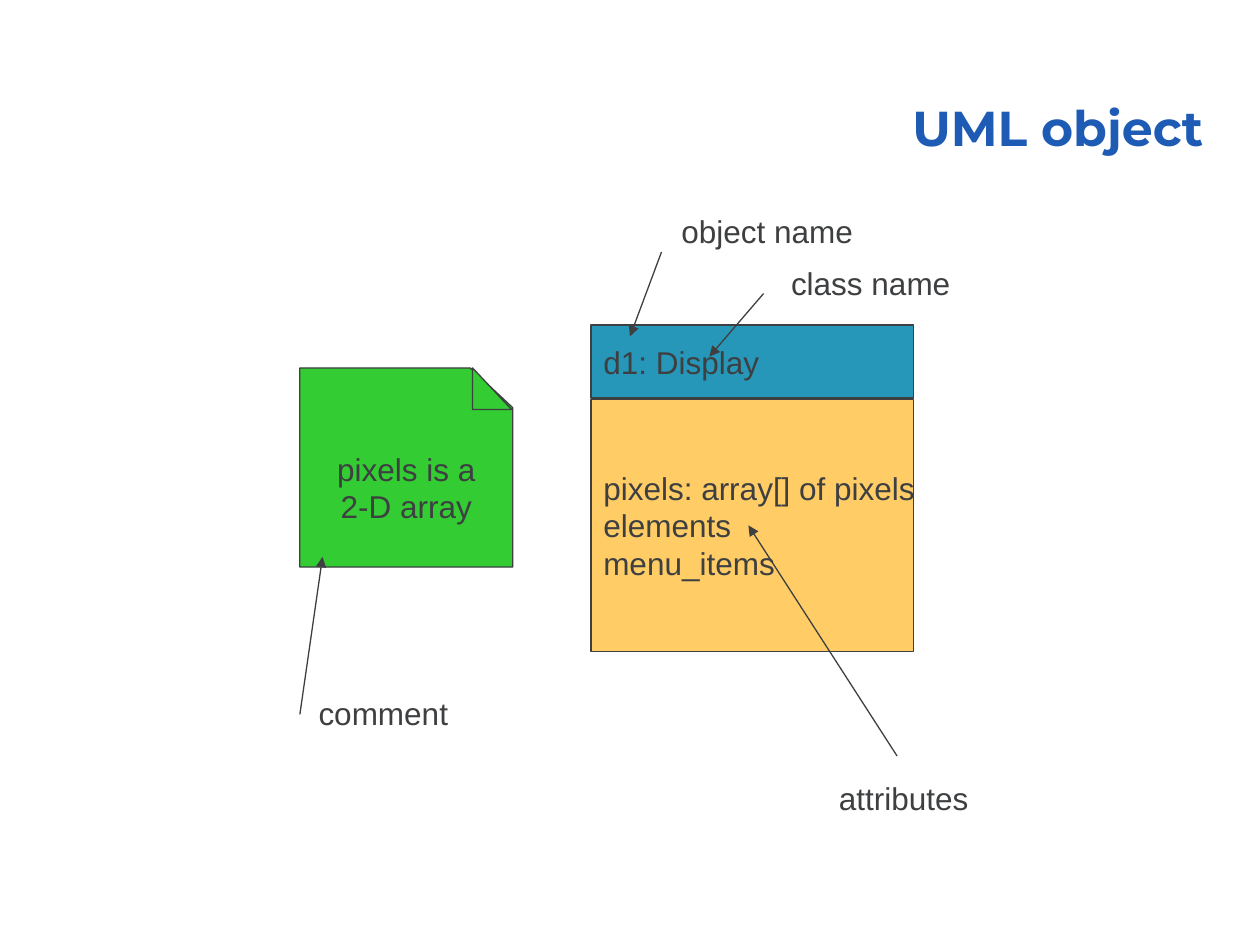
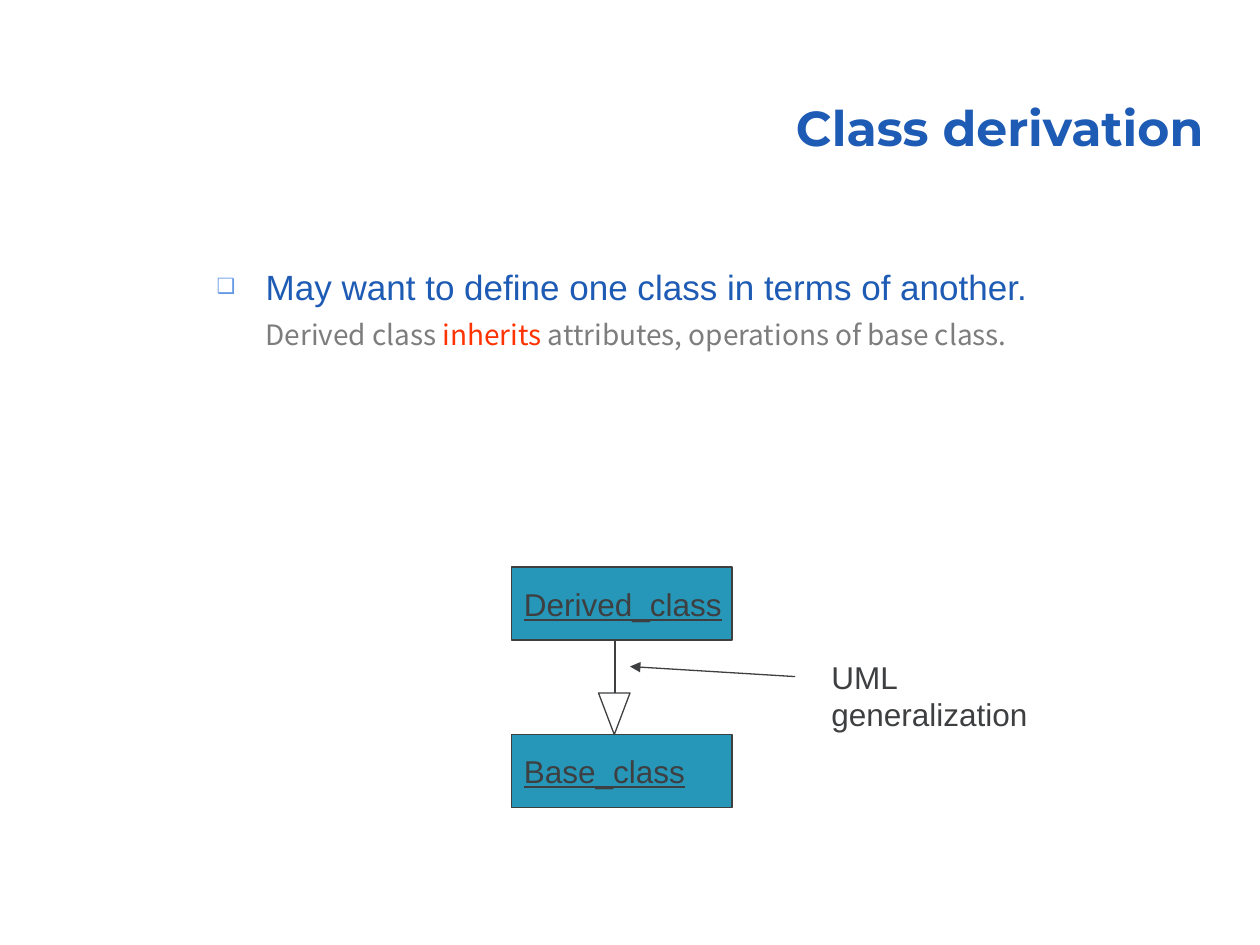
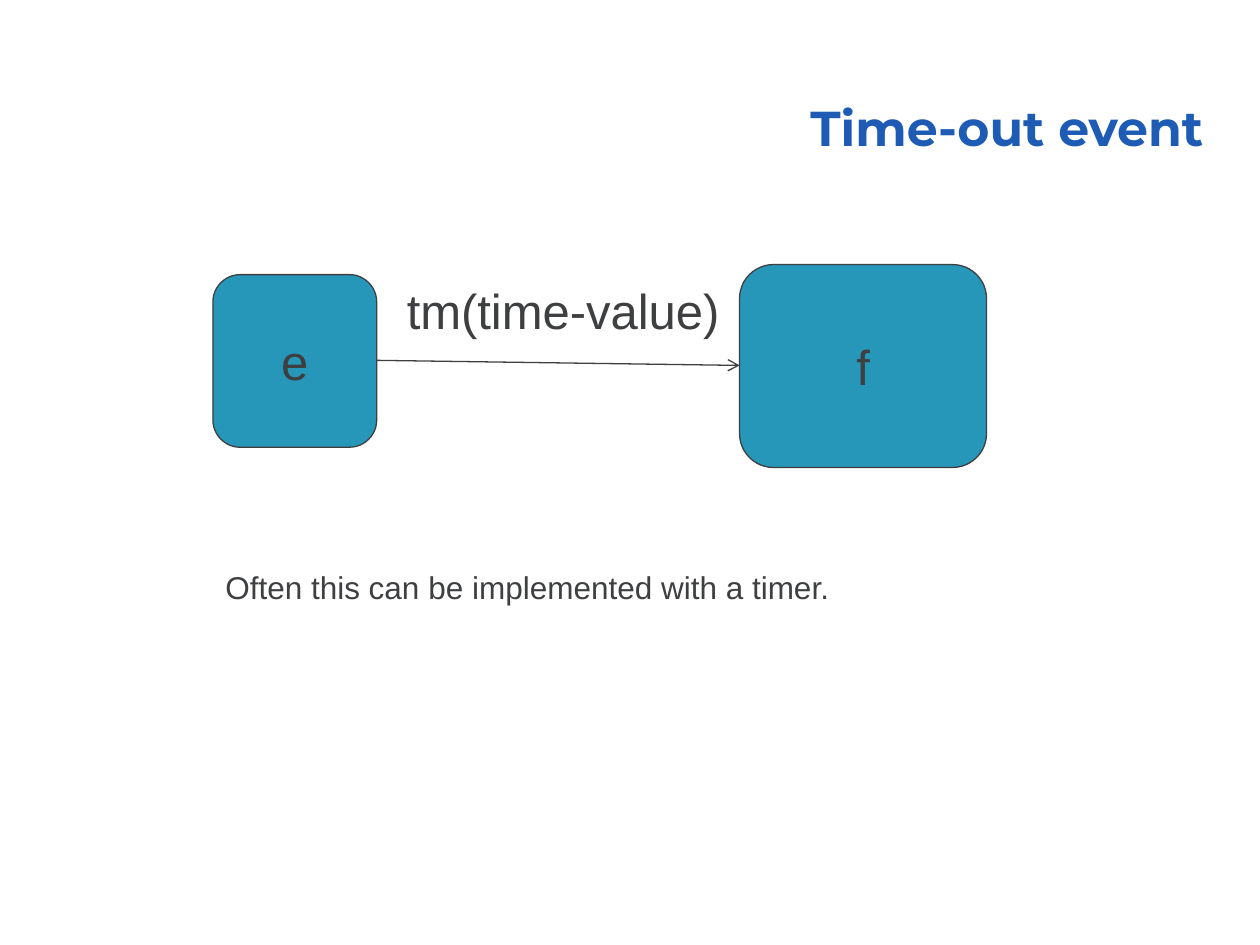
import pptx
import pptx.dml.color
import pptx.enum.shapes
import pptx.enum.text
import pptx.oxml
import pptx.oxml.ns
import pptx.util
from dataclasses import dataclass
from lxml import etree

PX = 9144  # EMU per px, 100 px to the inch
RGB = pptx.dml.color.RGBColor.from_string
SHAPE = pptx.enum.shapes.MSO_SHAPE
ALIGN = pptx.enum.text.PP_ALIGN
ANCHOR = pptx.enum.text.MSO_ANCHOR
AUTO = pptx.enum.text.MSO_AUTO_SIZE
qn = pptx.oxml.ns.qn


@dataclass(frozen=True)
class Theme:
    blue: str = "1E5BB4"
    ink: str = "3D3F41"
    teal: str = "2797B9"
    amber: str = "FFCC66"
    green: str = "33CC33"
    white: str = "FFFFFF"
    grey: str = "7D7D7D"
    red: str = "FF3300"
    bullet: str = "6599E5"
    title_font: str = "Montserrat"
    font: str = "Arial"
    detail_font: str = "Noto Sans CJK SC"
    large: int = 28
    lead: int = 20
    body: int = 18
    detail: int = 16
    line: float = 0.75


T = Theme()


def add_box(s, box, lines=(), kind=None, fill=None, size=T.body,
            align=ALIGN.LEFT, underline=None):
    """Add a filled shape, or a wrapping text box when no kind is given."""
    place = [v * PX for v in box]
    if kind is None:
        sp = s.shapes.add_textbox(*place)
        sp.text_frame.auto_size = AUTO.SHAPE_TO_FIT_TEXT
    else:
        sp = s.shapes.add_shape(kind, *place)
        sp.shadow.inherit = False
        sp.fill.solid()
        sp.fill.fore_color.rgb = RGB(fill)
        sp.line.color.rgb = RGB(T.ink)
        sp.line.width = pptx.util.Pt(T.line)
        sp.text_frame.vertical_anchor = ANCHOR.MIDDLE
    tf = sp.text_frame
    tf.word_wrap = kind is None
    for i, line in enumerate(lines):
        p = tf.add_paragraph() if i else tf.paragraphs[0]
        p.alignment = align
        r = p.add_run()
        r.text = line
        r.font.name = T.font
        r.font.size = pptx.util.Pt(size)
        r.font.color.rgb = RGB(T.ink)
        r.font.underline = underline
    return sp


def add_line(s, ends, head=None):
    """Add a straight line with an optional arrowhead at its end."""
    c = s.shapes.add_connector(pptx.enum.shapes.MSO_CONNECTOR.STRAIGHT, *[v * PX for v in ends])
    c.line.color.rgb = RGB(T.ink)
    c.line.width = pptx.util.Pt(T.line)
    if head:
        etree.SubElement(c.line._get_or_add_ln(), qn("a:tailEnd"), type=head)
    etree.SubElement(c._element.spPr, qn("a:effectLst"))


prs = pptx.Presentation()
prs.slide_width, prs.slide_height = 1000 * PX, 750 * PX

# Slides and their titles
slides = []
for title in ("UML object", "Class derivation", "Time-out event"):
    s = prs.slides.add_slide(prs.slide_layouts[5])
    sp = s.shapes.title
    sp.left, sp.top, sp.width, sp.height = [v * PX for v in (294, 53, 671, 77)]
    tf = sp.text_frame
    tf.auto_size = AUTO.NONE
    tf.vertical_anchor = ANCHOR.BOTTOM
    p = tf.paragraphs[0]
    p.alignment = ALIGN.RIGHT
    p.line_spacing = 0.9
    r = p.add_run()
    r.text = title
    r.font.name = T.title_font
    r.font.size = pptx.util.Pt(T.large)
    r.font.bold = True
    r.font.color.rgb = RGB(T.blue)
    slides.append(s)
uml, derivation, timeout = slides

# UML object: header, attributes and folded note
add_box(uml, (469, 258, 256, 58), ["d1: Display"], SHAPE.RECTANGLE, T.teal)
add_box(uml, (469, 317, 256, 200),
        ["pixels: array[] of pixels", "elements", "menu_items"], SHAPE.RECTANGLE, T.amber)
note = add_box(uml, (238, 292, 169, 158), ["pixels is a", "2-D array"],
               SHAPE.FLOWCHART_CARD, T.green, align=ALIGN.CENTER)
note._element.spPr.get_or_add_xfrm().set("flipH", "1")
add_box(uml, (375, 292, 31, 33), kind=SHAPE.RIGHT_TRIANGLE, fill=T.green)

# UML object: callouts
for label, box, arrow in (
    ("comment", (243, 546, 130, 40), (238, 567, 256, 442)),
    ("object name", (531, 163, 163, 40), (525, 200, 500, 267)),
    ("class name", (618, 205, 153, 40), (606, 233, 563, 283)),
    ("attributes", (656, 613, 130, 40), (712, 600, 594, 417)),
):
    add_line(uml, arrow, "triangle")
    add_box(uml, box, [label])

# Class derivation: statement
sp = derivation.shapes.add_textbox(*[v * PX for v in (162, 206, 671, 244)])
tf = sp.text_frame
tf.word_wrap = True
lead = [("May want to define one class in terms of another.", T.blue)]
detail = [("Derived class ", T.grey), ("inherits", T.red),
          (" attributes, operations of base class.", T.grey)]
for i, (runs, font, size) in enumerate(((lead, T.font, T.lead), (detail, T.detail_font, T.detail))):
    p = tf.add_paragraph() if i else tf.paragraphs[0]
    pPr = p._p.get_or_add_pPr()
    pPr.set("marL", str(39 * PX))
    pPr.set("indent", str(0 if i else -39 * PX))
    if i:
        p.line_spacing = 1.3
        p.space_after = pptx.util.Pt(6)
    else:
        p.alignment = ALIGN.JUSTIFY
        color = etree.SubElement(pPr, qn("a:buClr"))
        etree.SubElement(color, qn("a:srgbClr"), val=T.bullet)
        etree.SubElement(pPr, qn("a:buSzPct"), val="60000")
        etree.SubElement(pPr, qn("a:buFont"), typeface=T.font)
        etree.SubElement(pPr, qn("a:buChar"), char="❑")
    for text, color in runs:
        r = p.add_run()
        r.text = text
        r.font.name = font
        r.font.size = pptx.util.Pt(size)
        r.font.color.rgb = RGB(color)

# Class derivation: generalization diagram
for name, top in (("Derived_class", 450), ("Base_class", 583)):
    add_box(derivation, (406, top, 175, 58), [name], SHAPE.RECTANGLE, T.teal, underline=True)
head = add_box(derivation, (475, 550, 25, 33), kind=SHAPE.ISOSCELES_TRIANGLE, fill=T.white)
head.rotation = 180
add_line(derivation, (488, 550, 488, 508))
add_line(derivation, (631, 537, 500, 529), "triangle")
add_box(derivation, (650, 517, 185, 70), ["UML", "generalization"])

# Time-out event: states and transition
for name, box in (("e", (169, 218, 130, 137)), ("f", (587, 210, 196, 161))):
    add_box(timeout, box, [name], SHAPE.ROUNDED_RECTANGLE, T.teal, T.large, ALIGN.CENTER)
add_box(timeout, (313, 218, 275, 57), ["tm(time-value)"], size=T.large)
add_line(timeout, (299, 286, 587, 290), "arrow")
add_box(timeout, (169, 446, 638, 40), ["Often this can be implemented with a timer."])

prs.save("out.pptx")
